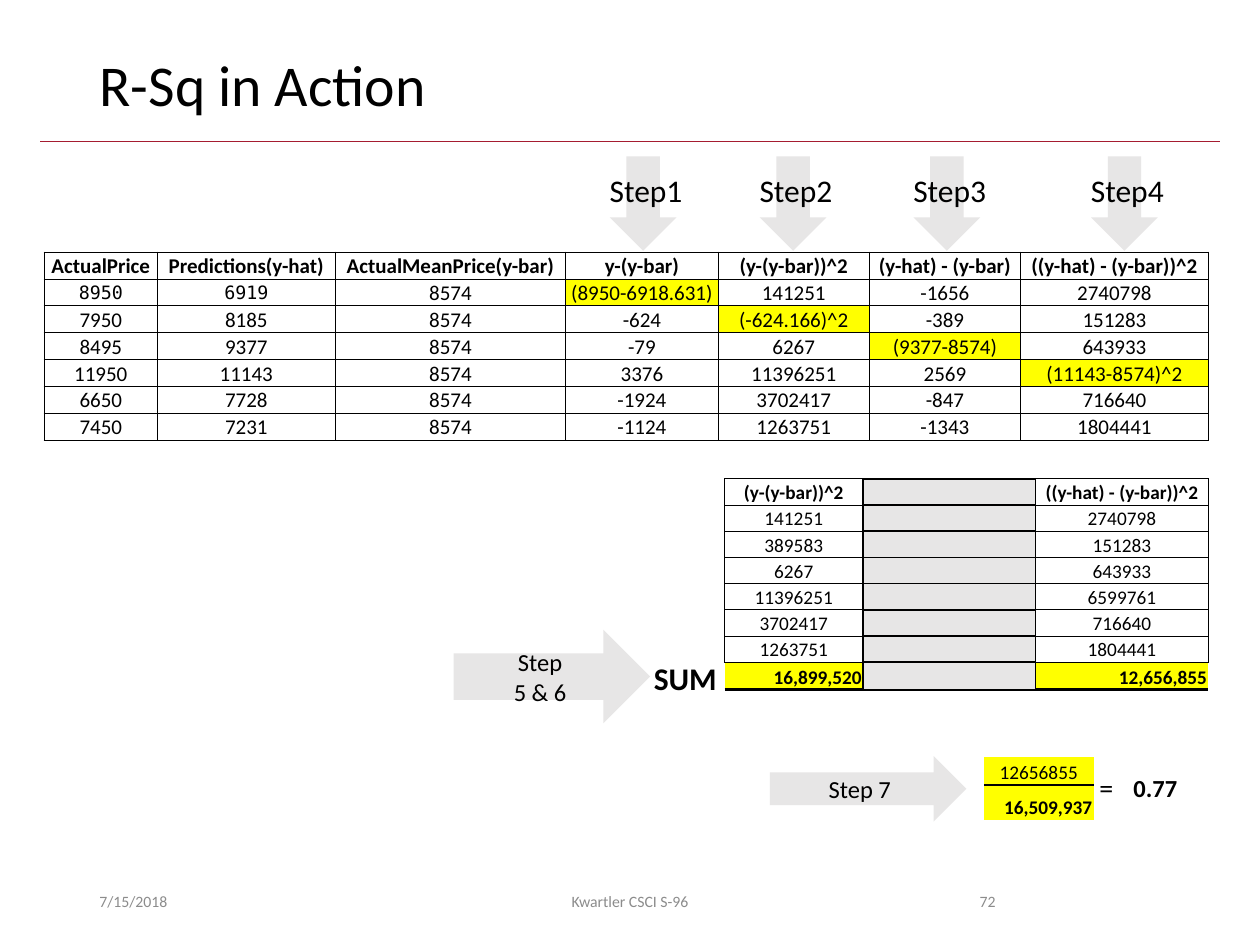
"""Build the slide that works through R-squared step by step."""
from dataclasses import dataclass
from typing import Optional

import lxml.etree
import pptx
import pptx.dml.color
import pptx.enum.shapes
import pptx.enum.text
import pptx.oxml.ns
import pptx.util

ALIGN = pptx.enum.text.PP_ALIGN
ANCHOR = pptx.enum.text.MSO_ANCHOR
SHAPE = pptx.enum.shapes.MSO_SHAPE
GRID_COLUMNS = 100
GRID_ROWS = 75
SLIDE_WIDTH = pptx.util.Inches(10)
SLIDE_HEIGHT = pptx.util.Inches(7.5)


@dataclass(frozen=True)
class Theme:
    font: str = "Calibri"
    mono: str = "DejaVu Sans Mono"
    ink: str = "000000"
    muted: str = "8C8C8C"
    rule: str = "A51C30"
    arrow: str = "E7E6E6"
    highlight: str = "FFFF00"
    title_size: float = 33
    step_size: float = 18
    equals_size: float = 16
    arrow_size: float = 14
    table_size: float = 12
    mono_size: float = 10.5
    sum_size: float = 11
    footer_size: float = 9


THEME = Theme()


@dataclass(frozen=True)
class Box:
    column: float
    row: float
    columns: float
    rows: float

    def lengths(self) -> tuple:
        return across(self.column), down(self.row), across(self.columns), down(self.rows)


@dataclass(frozen=True)
class Style:
    size: float
    bold: bool = False
    color: str = THEME.ink
    font: str = THEME.font
    align: ALIGN = ALIGN.LEFT
    anchor: ANCHOR = ANCHOR.TOP


@dataclass(frozen=True)
class Borders:
    left: float = 0
    right: float = 0
    top: float = 0
    bottom: float = 0


@dataclass(frozen=True)
class Label:
    text: str
    box: Box
    style: Style
    wrap: bool = True


@dataclass(frozen=True)
class BlockArrow:
    text: str
    box: Box


def across(columns: float) -> int:
    return round(SLIDE_WIDTH * columns / GRID_COLUMNS)


def down(rows: float) -> int:
    return round(SLIDE_HEIGHT * rows / GRID_ROWS)


def rgb(color: str) -> pptx.dml.color.RGBColor:
    return pptx.dml.color.RGBColor.from_string(color)


def write(text_frame, text: str, style: Style) -> None:
    text_frame.text = text
    for paragraph in text_frame.paragraphs:
        paragraph.alignment = style.align
        for run in paragraph.runs:
            run.font.name = style.font
            run.font.size = pptx.util.Pt(style.size)
            run.font.bold = style.bold
            run.font.color.rgb = rgb(style.color)


def add_label(shapes, label: Label) -> None:
    text_frame = shapes.add_textbox(*label.box.lengths()).text_frame
    text_frame.word_wrap = label.wrap
    text_frame.vertical_anchor = label.style.anchor
    write(text_frame, label.text, label.style)


def add_block_arrow(shapes, preset: SHAPE, arrow: BlockArrow) -> None:
    shape = shapes.add_shape(preset, *arrow.box.lengths())
    shape.shadow.inherit = False
    shape.fill.solid()
    shape.fill.fore_color.rgb = rgb(THEME.arrow)
    shape.line.fill.background()
    if arrow.text:
        shape.text_frame.vertical_anchor = ANCHOR.MIDDLE
        write(shape.text_frame, arrow.text, Style(THEME.arrow_size, align=ALIGN.CENTER))


def add_step(slide, name: str, column: float) -> None:
    group = slide.shapes.add_group_shape()
    add_block_arrow(group.shapes, SHAPE.DOWN_ARROW, BlockArrow("", Box(column, 12.4, 5.3, 7.5)))
    add_label(group.shapes, Label(name, Box(column - 1, 13.1, 7.9, 4), Style(THEME.step_size), wrap=False))


def add_rule(slide, row: float) -> None:
    margin = 3.2
    connector = slide.shapes.add_connector(
        pptx.enum.shapes.MSO_CONNECTOR.STRAIGHT,
        across(margin), down(row), across(GRID_COLUMNS - margin), down(row))
    connector.line.color.rgb = rgb(THEME.rule)
    connector.line.width = pptx.util.Pt(0.5)
    lxml.etree.SubElement(connector._element.spPr, pptx.oxml.ns.qn("a:effectLst"))


def add_grid(slide, column: float, row: float, widths: list, heights: list):
    box = Box(column, row, sum(widths), sum(heights))
    table = slide.shapes.add_table(len(heights), len(widths), *box.lengths()).table
    table.first_row = table.horz_banding = False
    for table_column, width in zip(table.columns, widths):
        table_column.width = across(width)
    for table_row, height in zip(table.rows, heights):
        table_row.height = down(height)
    return table


def fill_cell(cell, text: str, style: Style, borders: Borders, fill: Optional[str] = None) -> None:
    cell.margin_left = cell.margin_right = cell.margin_top = pptx.util.Inches(0.01)
    cell.margin_bottom = 0
    cell.vertical_anchor = style.anchor
    write(cell.text_frame, text, style)
    if not text:
        end = lxml.etree.SubElement(cell.text_frame.paragraphs[0]._p, pptx.oxml.ns.qn("a:endParaRPr"))
        end.set("sz", str(int(style.size * 100)))
    properties = cell._tc.get_or_add_tcPr()
    sides = {"L": borders.left, "R": borders.right, "T": borders.top, "B": borders.bottom}
    for side, points in sides.items():
        line = lxml.etree.SubElement(properties, pptx.oxml.ns.qn(f"a:ln{side}"), w=str(pptx.util.Pt(points)))
        paint = lxml.etree.SubElement(line, pptx.oxml.ns.qn("a:solidFill" if points else "a:noFill"))
        if points:
            lxml.etree.SubElement(paint, pptx.oxml.ns.qn("a:srgbClr"), val=THEME.ink)
    if fill:
        cell.fill.solid()
        cell.fill.fore_color.rgb = rgb(fill)
    else:
        cell.fill.background()


def add_price_table(slide) -> None:
    records = [
        ["ActualPrice", "Predictions(y-hat)", "ActualMeanPrice(y-bar)", "y-(y-bar)",
         "(y-(y-bar))^2", "(y-hat) - (y-bar)", "((y-hat) - (y-bar))^2"],
        ["8950", "6919", "8574", "(8950-6918.631)", "141251", "-1656", "2740798"],
        ["7950", "8185", "8574", "-624", "(-624.166)^2", "-389", "151283"],
        ["8495", "9377", "8574", "-79", "6267", "(9377-8574)", "643933"],
        ["11950", "11143", "8574", "3376", "11396251", "2569", "(11143-8574)^2"],
        ["6650", "7728", "8574", "-1924", "3702417", "-847", "716640"],
        ["7450", "7231", "8574", "-1124", "1263751", "-1343", "1804441"],
    ]
    table = add_grid(slide, 3.5, 20, [9, 14.1, 18.3, 12.1, 12, 12, 14.9], [2.14] * len(records))
    mono = Style(THEME.mono_size, font=THEME.mono, align=ALIGN.CENTER, anchor=ANCHOR.MIDDLE)
    for row, record in enumerate(records):
        normal = Style(THEME.table_size, bold=row == 0, align=ALIGN.CENTER, anchor=ANCHOR.BOTTOM)
        for column, text in enumerate(record):
            style = mono if row == 1 and column < 2 else normal
            worked = 1 <= row <= 4 and column == row + 2
            fill_cell(table.cell(row, column), text, style, Borders(0.5, 0.5, 0.5, 0.5),
                      THEME.highlight if worked else None)


def add_sum_table(slide) -> None:
    totals = ["(y-(y-bar))^2", "141251", "389583", "6267", "11396251", "3702417", "1263751", "16,899,520"]
    explained = ["((y-hat) - (y-bar))^2", "2740798", "151283", "643933", "6599761", "716640", "1804441", "12,656,855"]
    last = len(totals) - 1
    table = add_grid(slide, 57.5, 38, [11, 13.7, 13.7], [2.08] * last + [2.2])
    for row, (total, part) in enumerate(zip(totals, explained)):
        is_sum = row == last
        style = Style(THEME.sum_size, bold=row in (0, last), anchor=ANCHOR.BOTTOM,
                      align=ALIGN.RIGHT if is_sum else ALIGN.CENTER)
        fill = THEME.highlight if is_sum else None
        outer, bottom = (0, 2) if is_sum else (0.5, 0.5)
        fill_cell(table.cell(row, 0), total, style, Borders(outer, 1, 0.5, bottom), fill)
        fill_cell(table.cell(row, 1), "", style, Borders(1, 1, 1, 1), THEME.arrow)
        fill_cell(table.cell(row, 2), part, style, Borders(1, outer, 0.5, bottom), fill)


def add_ratio_table(slide) -> None:
    table = add_grid(slide, 78.1, 60.1, [8.7, 2, 5.8], [2.2, 2.8])
    for column in (1, 2):
        table.cell(0, column).merge(table.cell(1, column))
    top = Style(THEME.sum_size, align=ALIGN.CENTER, anchor=ANCHOR.BOTTOM)
    bottom = Style(THEME.sum_size, bold=True, align=ALIGN.RIGHT, anchor=ANCHOR.BOTTOM)
    equals = Style(THEME.equals_size, align=ALIGN.CENTER, anchor=ANCHOR.MIDDLE)
    result = Style(THEME.arrow_size, bold=True, align=ALIGN.CENTER, anchor=ANCHOR.MIDDLE)
    fill_cell(table.cell(0, 0), "12656855", top, Borders(bottom=1), THEME.highlight)
    fill_cell(table.cell(1, 0), "16,509,937", bottom, Borders(top=1), THEME.highlight)
    fill_cell(table.cell(0, 1), "=", equals, Borders())
    fill_cell(table.cell(0, 2), "0.77", result, Borders())


def add_title(slide, text: str) -> None:
    title = slide.shapes.title
    title.left, title.top, title.width, title.height = Box(6.9, 4, 86.2, 6.5).lengths()
    title.text_frame.auto_size = pptx.enum.text.MSO_AUTO_SIZE.NONE
    title.text_frame.vertical_anchor = ANCHOR.TOP
    write(title.text_frame, text, Style(THEME.title_size))
    title.text_frame.paragraphs[0].line_spacing = 0.9


def main() -> None:
    presentation = pptx.Presentation()
    presentation.slide_width, presentation.slide_height = SLIDE_WIDTH, SLIDE_HEIGHT
    slide = presentation.slides.add_slide(presentation.slide_layouts[5])
    add_rule(slide, 11.2)
    add_title(slide, "R-Sq in Action")
    footers = [("7/15/2018", 6.9, 22.5, ALIGN.LEFT), ("Kwartler CSCI S-96", 33.1, 33.8, ALIGN.CENTER),
               ("72", 70.6, 9.4, ALIGN.RIGHT)]
    for text, column, columns, align in footers:
        style = Style(THEME.footer_size, color=THEME.muted, align=align, anchor=ANCHOR.MIDDLE)
        add_label(slide.shapes, Label(text, Box(column, 69.5, columns, 4), style))
    add_price_table(slide)
    for number, column in enumerate([48.4, 60.3, 72.5, 86.6], start=1):
        add_step(slide, f"Step{number}", column)
    add_sum_table(slide)
    add_label(slide.shapes, Label("SUM", Box(50.9, 51.8, 7.1, 4), Style(THEME.step_size, bold=True), wrap=False))
    for arrow in (BlockArrow("Step\n5 & 6", Box(36, 50, 15.6, 7.4)), BlockArrow("Step 7", Box(61.1, 60, 15.6, 5.2))):
        add_block_arrow(slide.shapes, SHAPE.RIGHT_ARROW, arrow)
    add_ratio_table(slide)
    presentation.save("out.pptx")


if __name__ == "__main__":
    main()
